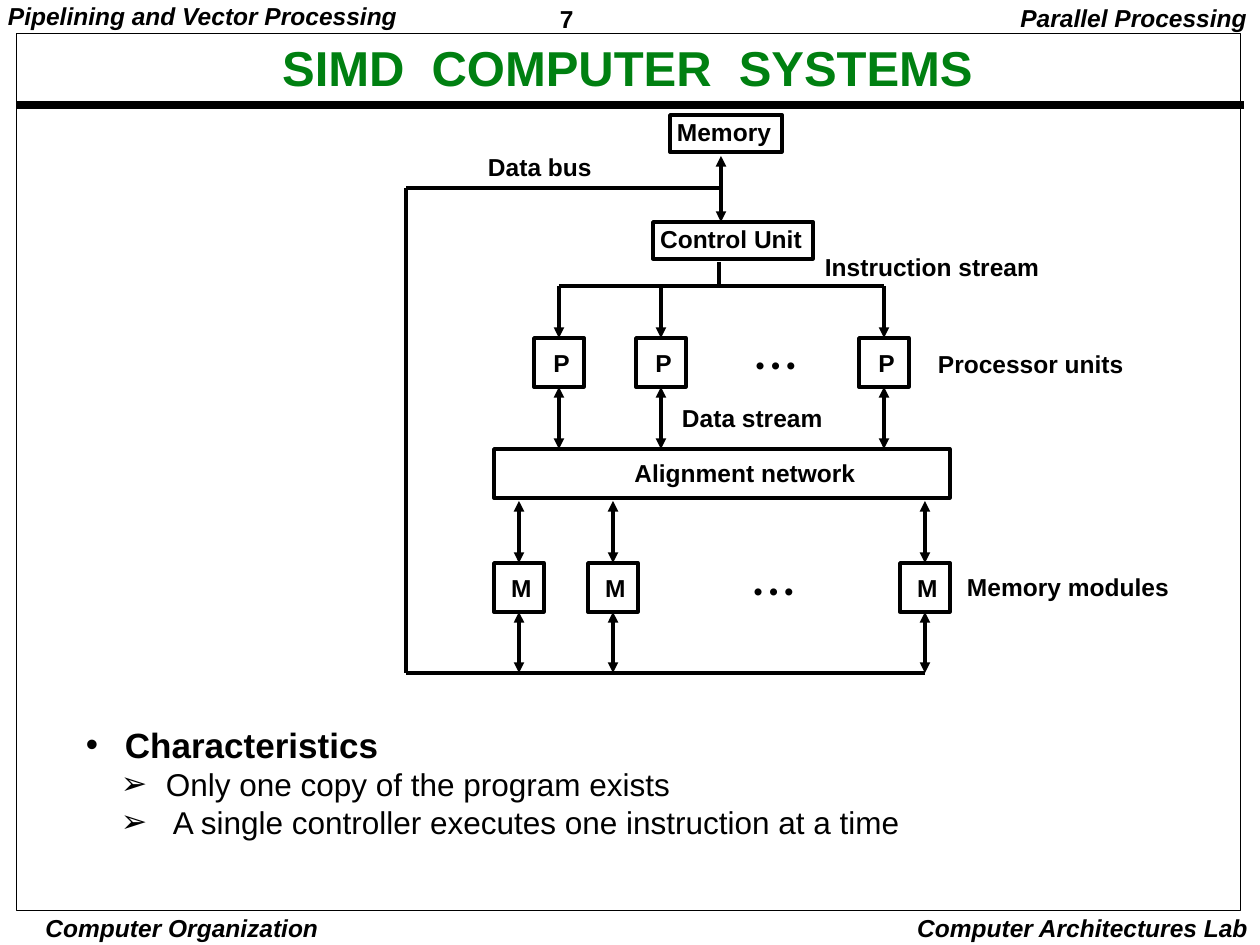
import lxml.etree
import pptx
import pptx.dml.color
import pptx.enum.shapes
import pptx.enum.text
import pptx.oxml.ns
import pptx.util

PX = 914400 / 126
BLACK = pptx.dml.color.RGBColor(0x00, 0x00, 0x00)
GREEN = pptx.dml.color.RGBColor(0x00, 0x80, 0x11)
ALIGN = pptx.enum.text.PP_ALIGN
ANCHOR = pptx.enum.text.MSO_ANCHOR
TOP, BOTTOM = 0, 2  # connection sites of a rectangle


def px(length):
    return pptx.util.Emu(round(length * PX))


def place(shape, left, top, width, height):
    shape.left, shape.top = px(left), px(top)
    shape.width, shape.height = px(width), px(height)


def add_child(parent, tag, **attributes):
    return lxml.etree.SubElement(parent, pptx.oxml.ns.qn(tag), attributes)


def set_frame(frame, anchor, left_inset=9, top_inset=4):
    frame.word_wrap = True
    frame.auto_size = pptx.enum.text.MSO_AUTO_SIZE.NONE
    frame.vertical_anchor = anchor
    frame.margin_left, frame.margin_right = px(left_inset), px(9)
    frame.margin_top, frame.margin_bottom = px(top_inset), px(4)


def write(paragraph, text, size=14, bold=True, italic=False, color=BLACK,
          align=ALIGN.LEFT, spacing=0.9):
    paragraph.alignment = align
    paragraph.line_spacing = spacing
    paragraph.space_before = pptx.util.Pt(0)
    run = paragraph.add_run()
    run.text = text
    run.font.name = "Arial"
    run.font.size = pptx.util.Pt(size)
    run.font.bold, run.font.italic = bold, italic
    run.font.color.rgb = color


def add_label(slide, text, left, top, width, height=34, **style):
    label = slide.shapes.add_textbox(px(left), px(top), px(width), px(height))
    set_frame(label.text_frame, ANCHOR.TOP)
    write(label.text_frame.paragraphs[0], text, **style)


def add_box(slide, left, top, width, height, text="", line=2,
            left_inset=9, top_inset=4):
    box = slide.shapes.add_shape(pptx.enum.shapes.MSO_SHAPE.RECTANGLE,
                                 px(left), px(top), px(width), px(height))
    box.shadow.inherit = False
    box.fill.background()
    box.line.color.rgb = BLACK
    box.line.width = pptx.util.Pt(line)
    if text:
        set_frame(box.text_frame, ANCHOR.MIDDLE, left_inset, top_inset)
        write(box.text_frame.paragraphs[0], text, align=ALIGN.CENTER)
    return box


def add_line(slide, start, end, width=2, head=False, tail=False,
             begin_box=None, end_box=None):
    line = slide.shapes.add_connector(pptx.enum.shapes.MSO_CONNECTOR.STRAIGHT,
                                      *map(px, start + end))
    line.line.color.rgb = BLACK
    line.line.width = pptx.util.Pt(width)
    properties = line._element.spPr
    outline = properties.find(pptx.oxml.ns.qn("a:ln"))
    for wanted, tag in ((head, "a:headEnd"), (tail, "a:tailEnd")):
        if wanted:
            add_child(outline, tag, type="triangle")
    add_child(properties, "a:effectLst")
    if begin_box is not None:
        line.begin_connect(begin_box, BOTTOM)
    if end_box is not None:
        line.end_connect(end_box, TOP)


def add_page_frame(slide, left, top, width, height):
    add_box(slide, left, top, width, height, line=0.5)
    add_line(slide, (left, top + 72), (left + width + 3, top + 72), width=4.5)
    footer = top + height - 2
    add_label(slide, "Pipelining and Vector Processing", -1, 0, 414, italic=True)
    add_label(slide, "7", 551, 0, 136, spacing=1.01)
    add_label(slide, "Parallel Processing", 1000, 2, 256, italic=True,
              align=ALIGN.RIGHT)
    add_label(slide, "Computer Organization", 32, footer, 300, italic=True,
              align=ALIGN.CENTER, spacing=1)
    add_label(slide, "Computer Architectures Lab", 897, footer, 360, italic=True,
              align=ALIGN.RIGHT, spacing=1)


def add_title(slide, left, top, width, height):
    title = slide.shapes.title
    place(title, left, top, width, height)
    set_frame(title.text_frame, ANCHOR.MIDDLE)
    write(title.text_frame.paragraphs[0], "SIMD  COMPUTER  SYSTEMS", size=28,
          color=GREEN, align=ALIGN.CENTER)


def add_diagram(slide, left, top):
    def at(x, y):
        return left + x, top + y

    # Memory and control unit
    add_box(slide, *at(265, 1), 112, 37, "Memory", left_inset=5)
    add_box(slide, *at(248, 108), 160, 37, "Control Unit", left_inset=5)
    add_line(slide, at(316, 42), at(316, 108), head=True, tail=True)
    add_line(slide, at(314, 148), at(314, 172))

    # Alignment network and the data bus back to memory
    network_top, network_bottom, bus = 335, 384, 559
    add_box(slide, *at(89, network_top), 456, network_bottom - network_top,
            "Alignment network", left_inset=55, top_inset=7)
    for start, end in (((316, 74), (1, 74)), ((1, 74), (1, bus)),
                       ((1, bus), (520, bus))):
        add_line(slide, at(*start), at(*end))

    # Processors, fed from the instruction stream
    side, stream = 50, 172
    processor_lefts = (129, 231, 454)
    add_line(slide, at(processor_lefts[0] + 25, stream),
             at(processor_lefts[-1] + 25, stream))
    for x in processor_lefts:
        box = add_box(slide, *at(x, 224), side, side - 1, "P",
                      left_inset=14, top_inset=8)
        add_line(slide, at(x + 25, stream), at(x + 25, 224), tail=True, end_box=box)
        add_line(slide, at(x + 25, 273), at(x + 25, network_top),
                 head=True, tail=True, begin_box=box)

    # Memory modules, between the network and the bus
    for x in (89, 183, 495):
        box = add_box(slide, *at(x, 449), side, side - 1, "M",
                      left_inset=14, top_inset=8)
        add_line(slide, at(x + 25, network_bottom + 3), at(x + 25, 449),
                 head=True, tail=True, end_box=box)
        add_line(slide, at(x + 25, 498), at(x + 25, bus),
                 head=True, tail=True, begin_box=box)

    # Labels
    for text, x, y, width in (
            ("Data bus", 74, 37, 130), ("Instruction stream", 411, 137, 240),
            ("Data stream", 268, 288, 168), ("Processor units", 524, 234, 212),
            ("Memory modules", 553, 457, 228), ("• • •", 342, 235, 66),
            ("• • •", 340, 461, 66)):
        add_label(slide, text, *at(x, y), width)


def add_characteristics(slide, left, top, width, height):
    body = slide.placeholders[1]
    place(body, left, top, width, height)
    frame = body.text_frame
    set_frame(frame, ANCHOR.TOP)
    items = (("Characteristics", 0, "•", 20, 39, 39),
             ("Only one copy of the program exists", 1, "➢", 18, 80, 45),
             ("A single controller executes one instruction at a time",
              1, "➢", 18, 87, 52))
    for index, (text, level, bullet, size, margin, hanging) in enumerate(items):
        paragraph = frame.add_paragraph() if index else frame.paragraphs[0]
        paragraph.level = level
        write(paragraph, text, size=size, bold=level == 0, spacing=1)
        properties = paragraph._p.get_or_add_pPr()
        properties.set("marL", str(int(px(margin))))
        properties.set("indent", str(-int(px(hanging))))
        color = add_child(properties, "a:buClr")
        add_child(color, "a:srgbClr", val=str(BLACK))
        add_child(properties, "a:buFont", typeface="Arial")
        add_child(properties, "a:buChar", char=bullet)


def main():
    presentation = pptx.Presentation()
    presentation.slide_width, presentation.slide_height = px(1260), px(945)
    slide = presentation.slides.add_slide(presentation.slide_layouts[1])
    add_page_frame(slide, 16, 33, 1225, 878)
    add_title(slide, 78, 33, 1099, 76)
    add_diagram(slide, 405, 114)
    add_characteristics(slide, 77, 719, 861, 125)
    presentation.save("out.pptx")


if __name__ == "__main__":
    main()
